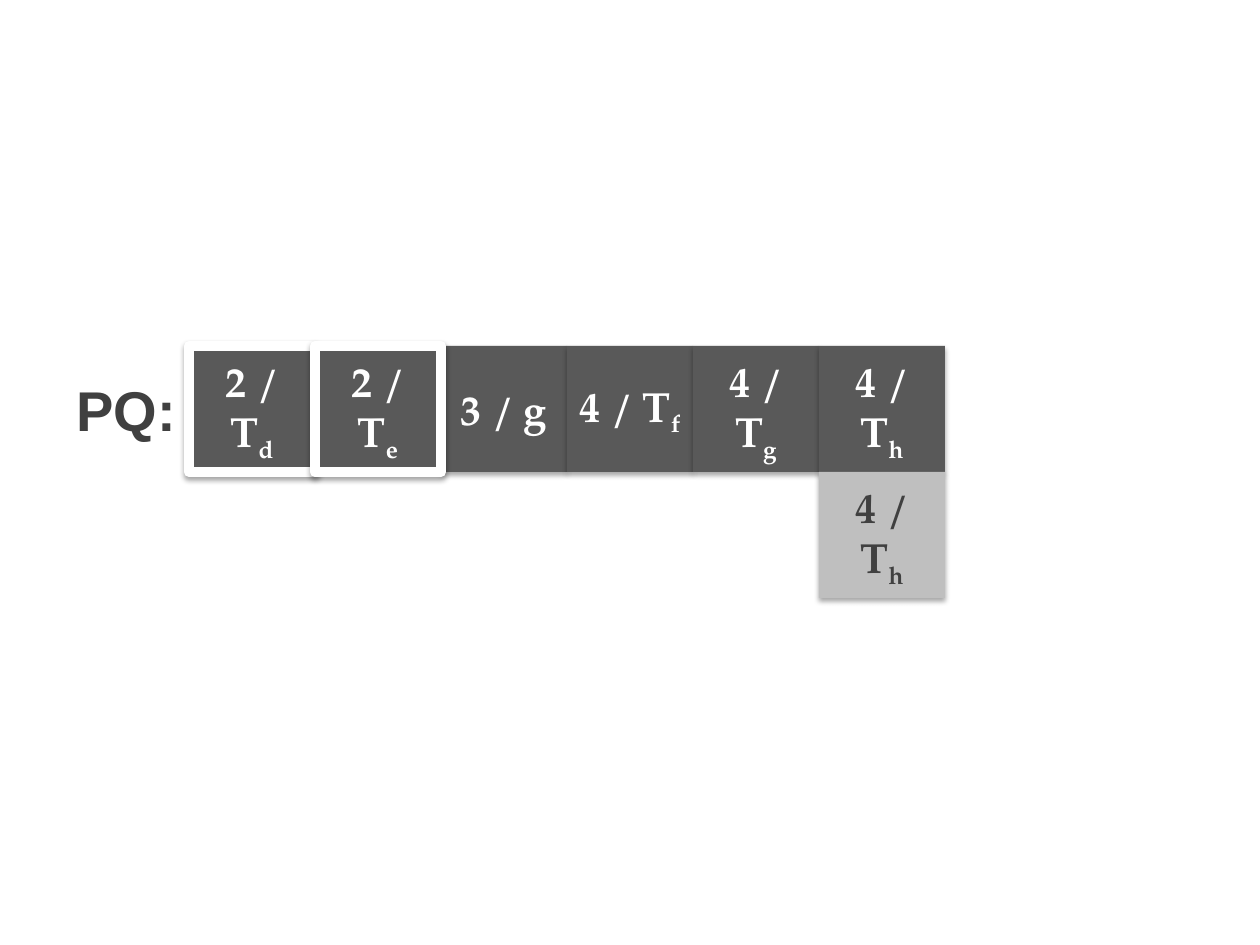
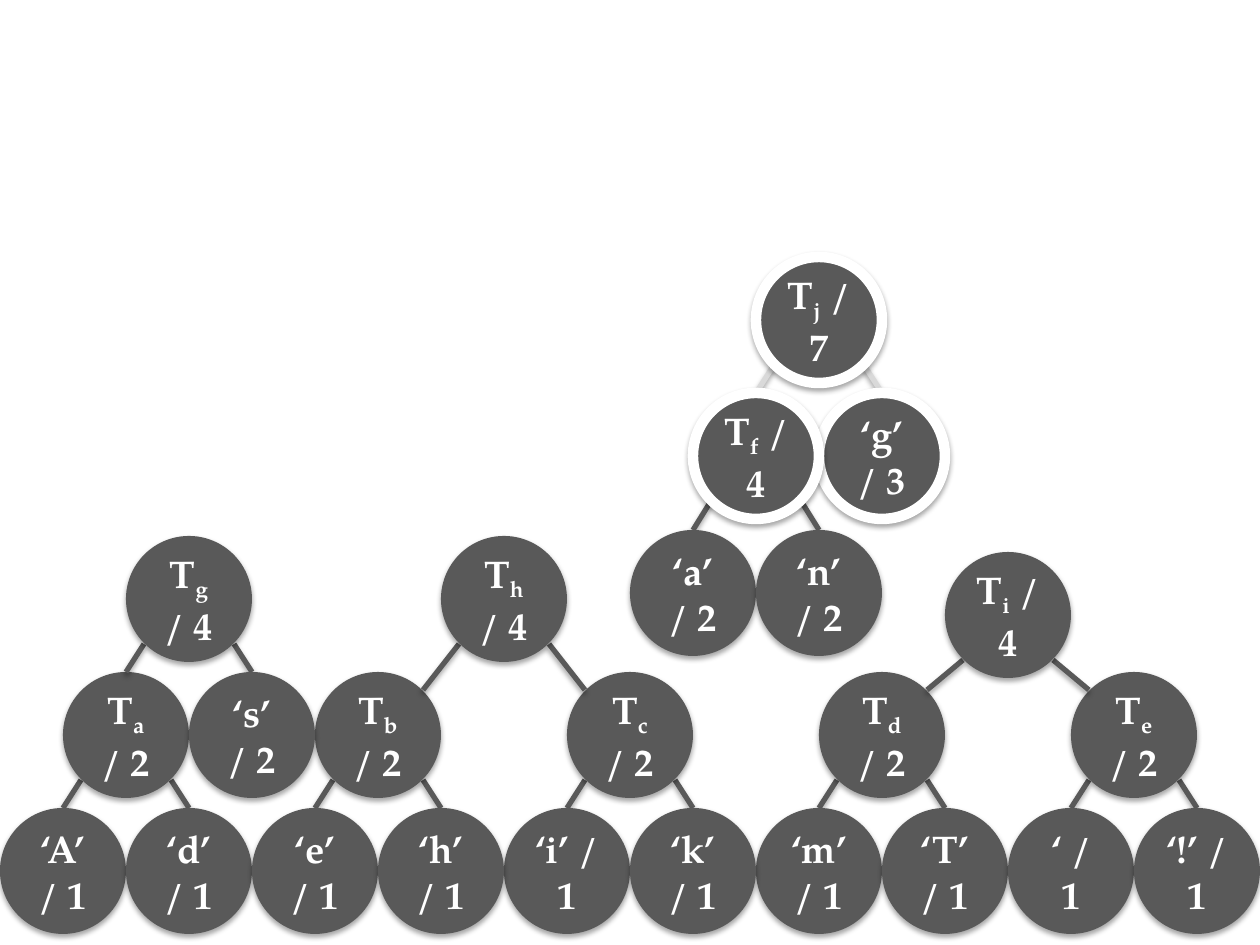
from dataclasses import dataclass

from lxml.etree import SubElement
from pptx import Presentation
from pptx.dml.color import RGBColor as RGB
from pptx.enum.shapes import MSO_CONNECTOR as CONNECTOR, MSO_SHAPE as SHAPE
from pptx.enum.text import MSO_ANCHOR as ANCHOR, PP_ALIGN as ALIGN
from pptx.oxml.ns import qn
from pptx.util import Emu, Pt


@dataclass(frozen=True)
class Theme:
    dark: str = "595959"
    light: str = "BFBFBF"
    faint: str = "D9D9D9"
    text: str = "404040"
    white: str = "FFFFFF"
    serif: str = "TeX Gyre Pagella"
    sans: str = "Arial"
    label_size: int = 32
    cell_size: int = 24
    node_size: int = 22
    ring_width: int = 6
    edge_width: int = 3


@dataclass(frozen=True)
class Family:
    parent: str
    x: int
    y: int
    gap: int
    child_y: int
    leaves: tuple
    edge: str = Theme.dark


T = Theme()
SIZE, HALF, CORNER = 126, 63, 45
QUEUE_Y = 346
LEAF_Y, PAIR_Y = 808, 672

QUEUE = [
    (3, 0, "3 / g"),
    (4, 0, "4 / T|f"),
    (5, 0, "4 / T|g"),
    (6, 0, "4 / T|h"),
    (1, T.ring_width, "2 / T|d"),
    (2, T.ring_width, "2 / T|e"),
]

FAMILIES = [
    Family("T|d| / 2", 819, PAIR_Y, HALF, LEAF_Y, ("‘m’ / 1", "‘T’ / 1")),
    Family("T|c| / 2", 567, PAIR_Y, HALF, LEAF_Y, ("‘i’ / 1", "‘k’ / 1")),
    Family("T|a| / 2", 63, PAIR_Y, HALF, LEAF_Y, ("‘A’ / 1", "‘d’ / 1")),
    Family("T|b| / 2", 315, PAIR_Y, HALF, LEAF_Y, ("‘e’ / 1", "‘h’ / 1")),
    Family("T|e| / 2", 1071, PAIR_Y, HALF, LEAF_Y, ("‘ / 1", "‘!’ / 1")),
    Family("T|g| / 4", 126, 536, HALF, PAIR_Y, (None, "‘s’ / 2")),
    Family("T|h| / 4", 441, 536, SIZE, PAIR_Y, (None, None)),
    Family("T|i| / 4", 945, 552, SIZE, PAIR_Y, (None, None)),
    Family("T|j| / 7", 756, 257, HALF, 393, (None, "‘g’ / 3"), T.faint),
    Family("T|f| / 4", 693, 393, HALF, 530, ("‘a’ / 2", "‘n’ / 2")),
]
RINGED = {"T|j| / 7", "T|f| / 4", "‘g’ / 3"}


def px(n):
    return Emu(round(n * 914400 / 126))


def set_attrs(obj, values):
    for name, value in values.items():
        setattr(obj, name, value)


def add_shadow(sp):
    effects = SubElement(sp._element.spPr, qn("a:effectLst"))
    shadow = SubElement(effects, qn("a:outerShdw"), blurRad=str(Pt(3.1)),
                        dist=str(Pt(1.8)), dir="5400000", rotWithShape="0")
    color = SubElement(shadow, qn("a:srgbClr"), val="000000")
    SubElement(color, qn("a:alpha"), val="35000")


def write(sp, label, size, color, font=T.serif):
    tf = sp.text_frame
    set_attrs(tf, {"word_wrap": True, "vertical_anchor": ANCHOR.MIDDLE})
    p = tf.paragraphs[0]
    p.alignment = ALIGN.CENTER
    for i, part in enumerate(label.split("|")):
        r = p.add_run()
        r.text = part
        set_attrs(r.font, {"name": font, "size": Pt(size), "bold": True})
        r.font.color.rgb = RGB.from_string(color)
        if i % 2:
            r._r.get_or_add_rPr().set("baseline", "-25000")


def add_block(s, kind, x, y, label, size, fill=T.dark, color=T.white, ring=0):
    sp = s.shapes.add_shape(kind, px(x), px(y), px(SIZE), px(SIZE))
    sp.fill.solid()
    sp.fill.fore_color.rgb = RGB.from_string(fill)
    if ring:
        sp.line.color.rgb = RGB.from_string(T.white)
        sp.line.width = Pt(ring)
    else:
        sp.line.fill.background()
    add_shadow(sp)
    write(sp, label, size, color)


def add_cell(s, column, row, label, **style):
    add_block(s, SHAPE.RECTANGLE, HALF + column * SIZE, QUEUE_Y + row * SIZE,
              label, T.cell_size, **style)


def add_node(s, x, y, label):
    add_block(s, SHAPE.OVAL, x, y, label, T.node_size,
              ring=T.ring_width if label in RINGED else 0)


def add_edge(s, start, end, color):
    line = s.shapes.add_connector(CONNECTOR.STRAIGHT, *map(px, start + end))
    line.line.color.rgb = RGB.from_string(color)
    line.line.width = Pt(T.edge_width)
    add_shadow(line)


def add_family(s, f):
    center = f.x + HALF
    inset = CORNER if f.gap > HALF else 0
    drop = HALF - CORNER if inset else 0
    for side in (1, -1):
        add_edge(s, (center + side * (f.gap - inset), f.child_y + drop),
                 (center + side * CORNER, f.y + HALF + CORNER), f.edge)
    for side, leaf in zip((-1, 1), f.leaves):
        if leaf:
            add_node(s, f.x + side * f.gap, f.child_y, leaf)
    add_node(s, f.x, f.y, f.parent)


def add_queue_slide(s):
    tb = s.shapes.add_textbox(px(HALF), px(QUEUE_Y), px(SIZE), px(SIZE))
    write(tb, "PQ:", T.label_size, T.text, T.sans)
    for column, ring, label in QUEUE:
        add_cell(s, column, 0, label, ring=ring)
    add_cell(s, 6, 1, "4 / T|h", fill=T.light, color=T.text)


def add_forest_slide(s):
    for family in FAMILIES:
        add_family(s, family)


def main():
    prs = Presentation()
    set_attrs(prs, {"slide_width": px(1260), "slide_height": px(945)})
    for build in (add_queue_slide, add_forest_slide):
        build(prs.slides.add_slide(prs.slide_layouts[6]))
    prs.save("out.pptx")


if __name__ == "__main__":
    main()
